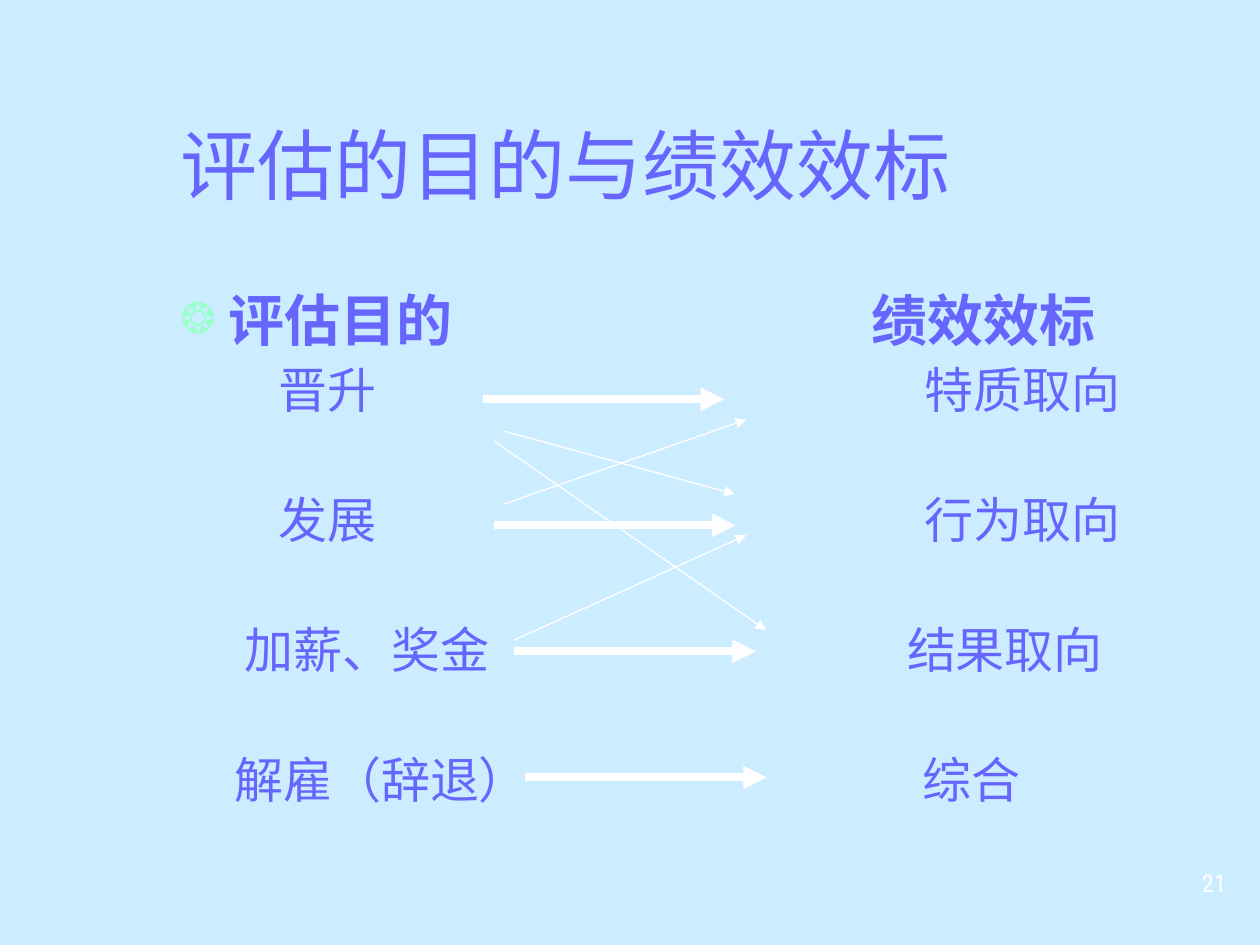
from lxml import etree
from pptx import Presentation
from pptx import util as u
from pptx.dml.color import RGBColor
from pptx.enum import shapes, text
from pptx.oxml import ns

FONT = "Roboto Condensed"
VIOLET, MINT, WHITE, SKY = "6666FF", "99FFCC", "FFFFFF", "CCECFF"
PURPOSES = [("晋升", 1.98), ("发展", 1.98), ("加薪、奖金", 1.3), ("解雇（辞退）", 1.09)]
CRITERIA = [("特质取向", 1.07), ("行为取向", 1.07), ("结果取向", 0.71), ("综合", 1.02)]
MAIN_STARTS = [0, 0.23, 0.64, 0.86]
MAIN_LENGTH, ROW_PITCH = 4.87, 2.54
CROSS_LINKS = [
    (0.43, 0.64, 5.08, 1.91),
    (0.23, 0.84, 5.71, 4.65),
    (0.64, 4.85, 5.31, 2.74),
    (0.43, 2.11, 5.31, 0.41),
]


def color(value):
    """Turn a hex string into a colour."""
    return RGBColor.from_string(value)


def add_element(parent, tag, **attributes):
    """Append a drawing element to its parent."""
    return etree.SubElement(parent, ns.qn(tag), attributes)


def place(shape, box, anchor=text.MSO_ANCHOR.TOP):
    """Move a shape to a box in centimetres and fix its text frame."""
    shape.left, shape.top, shape.width, shape.height = map(u.Cm, box)
    frame = shape.text_frame
    frame.word_wrap = True
    frame.auto_size = text.MSO_AUTO_SIZE.NONE
    frame.vertical_anchor = anchor
    return frame


def write(paragraph, content, size=28, bold=False, fill=VIOLET, before=0,
          line=None, indent=0, bullet=None, align=text.PP_ALIGN.LEFT):
    """Write formatted text into a paragraph."""
    paragraph.alignment = align
    paragraph.space_before = u.Pt(before)
    if line:
        paragraph.line_spacing = u.Pt(line)
    properties = paragraph._p.get_or_add_pPr()
    properties.set("marL", str(u.Cm(indent)))
    properties.set("indent", str(-u.Cm(indent) if bullet else 0))
    if bullet:
        add_element(add_element(properties, "a:buClr"), "a:srgbClr", val=MINT)
        add_element(properties, "a:buSzPct", val="75000")
        add_element(properties, "a:buChar", char=bullet)
    else:
        add_element(properties, "a:buNone")
    run = paragraph.add_run()
    run.text = content
    run.font.name, run.font.size, run.font.bold = FONT, u.Pt(size), bold
    run.font.color.rgb = color(fill)


def add_title(slide, box):
    """Fill the title placeholder."""
    frame = place(slide.shapes.title, box, text.MSO_ANCHOR.BOTTOM)
    write(frame.paragraphs[0], "评估的目的与绩效效标", size=44)


def add_column(placeholder, box, heading, rows, **heading_format):
    """Fill one list with a bold heading and evenly spaced rows."""
    frame = place(placeholder, box)
    write(frame.paragraphs[0], heading, size=32, bold=True, line=38, **heading_format)
    for index, (label, indent) in enumerate(rows):
        write(frame.add_paragraph(), label, line=34, indent=indent,
              before=40.4 if index else 3)


def add_arrow(slide, start, end, weight):
    """Draw a white arrow between two points in centimetres."""
    arrow = slide.shapes.add_connector(
        shapes.MSO_CONNECTOR.STRAIGHT, *map(u.Cm, (*start, *end)))
    arrow.line.color.rgb = color(WHITE)
    arrow.line.width = u.Pt(weight)
    add_element(arrow.line._get_or_add_ln(), "a:tailEnd", type="triangle")
    add_element(arrow._element.spPr, "a:effectLst")


def add_links(slide, left, top):
    """Draw the thick row arrows and the thin crossing arrows."""
    for row, start in enumerate(MAIN_STARTS):
        x, y = left + start, top + row * ROW_PITCH
        add_arrow(slide, (x, y), (x + MAIN_LENGTH, y), 4.5)
    for x1, y1, x2, y2 in CROSS_LINKS:
        add_arrow(slide, (left + x1, top + y1), (left + x2, top + y2), 0.75)


def add_page_number(slide, box):
    """Write the page number at the lower right."""
    frame = place(slide.shapes.add_textbox(0, 0, 0, 0), box, text.MSO_ANCHOR.MIDDLE)
    write(frame.paragraphs[0], "21", size=14, fill=WHITE, align=text.PP_ALIGN.RIGHT)


def main():
    """Build and save the slide."""
    presentation = Presentation()
    presentation.slide_width, presentation.slide_height = u.Cm(25.4), u.Cm(19.05)
    slide = presentation.slides.add_slide(presentation.slide_layouts[3])
    slide.background.fill.solid()
    slide.background.fill.fore_color.rgb = color(SKY)
    add_title(slide, (3.38, 1.17, 21.59, 3.18))
    add_column(slide.placeholders[1], (3.38, 5.65, 13.4, 11.43),
               "评估目的", PURPOSES, indent=0.97, bullet="❂")
    add_column(slide.placeholders[2], (17.32, 5.65, 7.65, 11.43), "绩效效标", CRITERIA)
    add_links(slide, 9.73, 8.05)
    add_page_number(slide, (21.97, 17.2, 3, 1.2))
    presentation.save("out.pptx")


if __name__ == "__main__":
    main()
